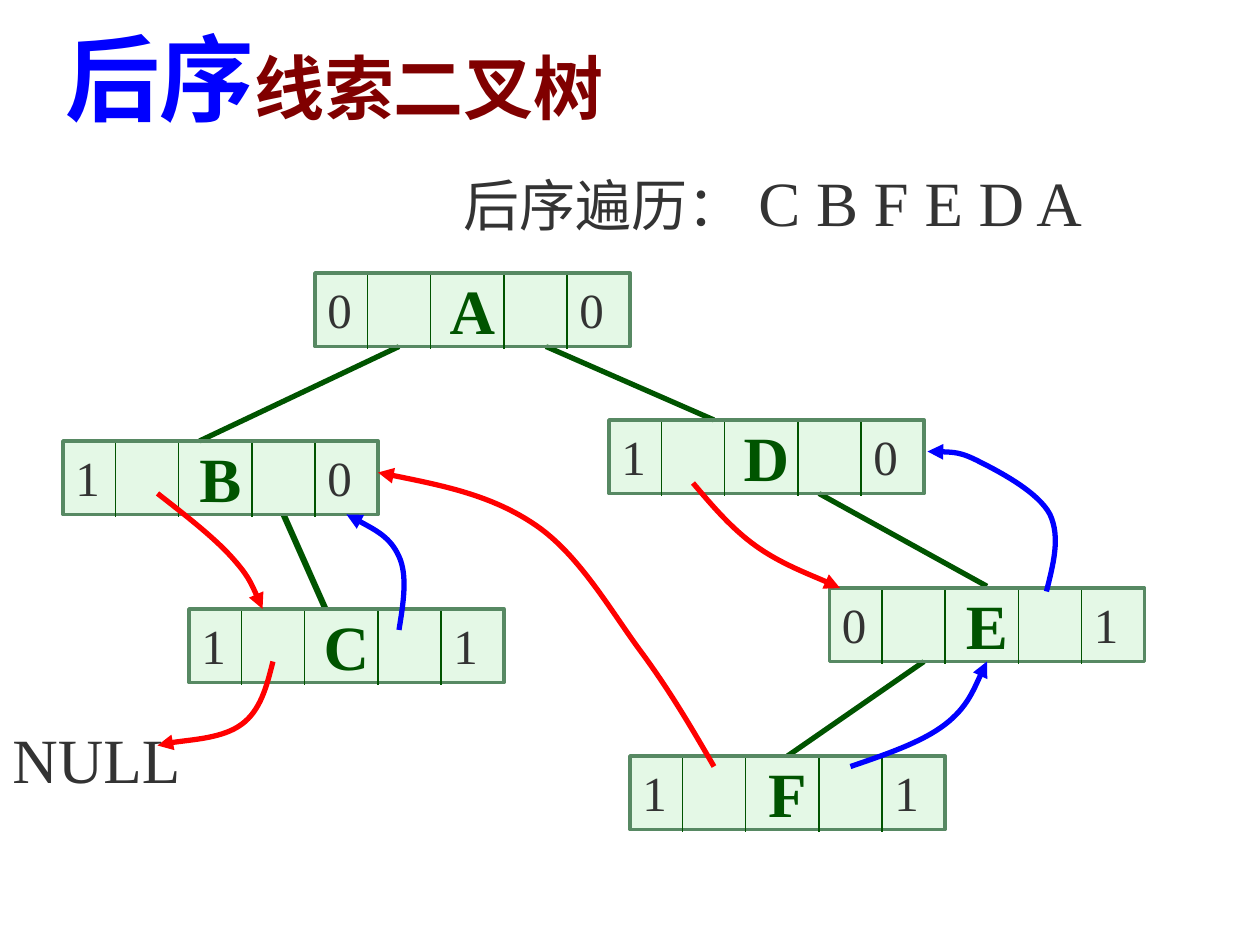
import pptx
import pptx.util
import pptx.dml.color
import pptx.enum.shapes
import pptx.enum.text
import pptx.oxml
import pptx.oxml.ns
from lxml import etree

Pt = pptx.util.Pt
qn = pptx.oxml.ns.qn
GREEN, RED, BLUE, GREY = "005400", "FF0000", "0000FF", "333333"


def color(value):
    return pptx.dml.color.RGBColor.from_string(value)


class TreeSlide:
    font = "Times New Roman"
    node_width, node_height = 180, 42
    field_width = 36
    dividers = (30, 66, 108, 144)

    def __init__(self, slide):
        self.slide = slide

    def spans(self, para, runs, bold=False):
        for text, size, ink in runs:
            span = para.add_run()
            span.text = text
            span.font.name = self.font
            span.font.size = Pt(size)
            span.font.bold = bold
            span.font.color.rgb = color(ink)

    def title(self, left, top, width, height, runs):
        box = self.slide.shapes.title
        box.left, box.top, box.width, box.height = map(Pt, (left, top, width, height))
        frame = box.text_frame
        frame.word_wrap = False
        frame.auto_size = pptx.enum.text.MSO_AUTO_SIZE.NONE
        frame.vertical_anchor = pptx.enum.text.MSO_ANCHOR.TOP
        para = frame.paragraphs[0]
        para.alignment = pptx.enum.text.PP_ALIGN.LEFT
        para.line_spacing = 1.2
        self.spans(para, runs, bold=True)

    def text(self, left, top, width, height, runs, shapes=None):
        shapes = shapes or self.slide.shapes
        box = shapes.add_textbox(*map(Pt, (left, top, width, height)))
        box.text_frame.word_wrap = True
        self.spans(box.text_frame.paragraphs[0], runs)

    def line(self, start, end, weight, shapes=None):
        shapes = shapes or self.slide.shapes
        straight = pptx.enum.shapes.MSO_CONNECTOR.STRAIGHT
        edge = shapes.add_connector(straight, *map(Pt, (*start, *end)))
        edge.line.color.rgb = color(GREEN)
        edge.line.width = Pt(weight)
        etree.SubElement(edge._element.spPr, qn("a:effectLst"))

    def node(self, letter, left, top, left_tag, right_tag):
        shapes = self.slide.shapes.add_group_shape().shapes
        box = shapes.add_shape(
            pptx.enum.shapes.MSO_SHAPE.RECTANGLE,
            *map(Pt, (left, top, self.node_width, self.node_height)))
        box.shadow.inherit = False
        box.fill.solid()
        box.fill.fore_color.rgb = color("CAF2CE")
        tint = box._element.spPr.find(qn("a:solidFill"))[0]
        etree.SubElement(tint, qn("a:alpha")).set("val", "50000")
        box.line.color.rgb = color("578963")
        box.line.width = Pt(2)
        frame = box.text_frame
        frame.word_wrap = False
        frame.vertical_anchor = pptx.enum.text.MSO_ANCHOR.MIDDLE
        frame.paragraphs[0].alignment = pptx.enum.text.PP_ALIGN.CENTER
        self.spans(frame.paragraphs[0], [(letter, 36, GREEN)], bold=True)
        for offset in self.dividers:
            x = left + offset
            self.line((x, top + 1.2), (x, top + 43.2), 1, shapes)
        for offset, tag in ((0, left_tag), (self.dividers[-1], right_tag)):
            self.text(left + offset, top, self.field_width, 41, [(tag, 28, GREY)], shapes)

    def thread(self, ink, points):
        start, *rest = [(Pt(x), Pt(y)) for x, y in points]
        builder = self.slide.shapes.build_freeform(*start)
        builder.add_line_segments(rest, close=False)
        curve = builder.convert_to_shape()
        curve.shadow.inherit = False
        curve.fill.background()
        curve.line.color.rgb = color(ink)
        curve.line.width = Pt(3)
        outline = curve.line._get_or_add_ln()
        etree.SubElement(outline, qn("a:tailEnd")).set("type", "triangle")
        segments = list(curve._element.iter(qn("a:lnTo")))
        for first in range(0, len(segments), 3):
            bezier = etree.Element(qn("a:cubicBezTo"))
            segments[first].addprevious(bezier)
            for segment in segments[first:first + 3]:
                bezier.append(segment[0])
                segment.getparent().remove(segment)


def main():
    deck = pptx.Presentation()
    deck.slide_width, deck.slide_height = Pt(720), Pt(540)
    page = TreeSlide(deck.slides.add_slide(deck.slide_layouts[5]))

    page.title(30, -5, 323, 85, [("后序", 54, BLUE), ("线索二叉树", 40, "800000")])
    page.text(258, 90, 396, 50, [("后序遍历：", 32, GREY), (" C B F E D A", 36, GREY)])

    edges = [
        ((228, 198), (114, 252), 3),
        ((312, 198), (408, 240), 3),
        ((162, 294), (186, 348), 3.5),
        ((468, 282), (564, 335), 3),
        ((528, 378), (450, 432), 3),
    ]
    for start, end, weight in edges:
        page.line(start, end, weight)

    nodes = [
        ("A", 180, 156, "0", "0"),
        ("B", 36, 252, "1", "0"),
        ("D", 348, 240, "1", "0"),
        ("C", 108, 348, "1", "1"),
        ("E", 474, 336, "0", "1"),
        ("F", 360, 432, "1", "1"),
    ]
    for node in nodes:
        page.node(*node)

    threads = [
        (RED, [(90, 282), (106, 294.5), (122, 307), (132, 318),
               (142, 329), (146, 338.5), (150, 348)]),
        (RED, [(408, 438), (395.5, 416.5), (383, 395), (366, 372),
               (349, 349), (331, 317), (306, 300),
               (281, 283), (248.5, 276.5), (216, 270)]),
        (RED, [(396, 276), (407, 289), (418, 302), (432, 312),
               (446, 322), (472, 332), (480, 336)]),
        (BLUE, [(228, 360), (230.5, 344.5), (233, 329), (228, 318),
                (223, 307), (210.5, 300.5), (198, 294)]),
        (BLUE, [(486, 438), (506.5, 431), (527, 424), (540, 414),
                (553, 404), (561, 384), (564, 378)]),
        (RED, [(156, 378), (152.5, 392), (149, 406), (138, 414),
               (127, 422), (98, 423.5), (90, 426)]),
        (BLUE, [(598, 338), (602, 322), (606, 307), (600, 294),
                (593.5, 281.5), (572, 270), (560, 264),
                (548.5, 258), (539, 258), (530, 258)]),
    ]
    for ink, points in threads:
        page.thread(ink, points)
    page.text(0, 408, 125, 51, [("NULL", 36, GREY)])

    deck.save("out.pptx")


if __name__ == "__main__":
    main()
